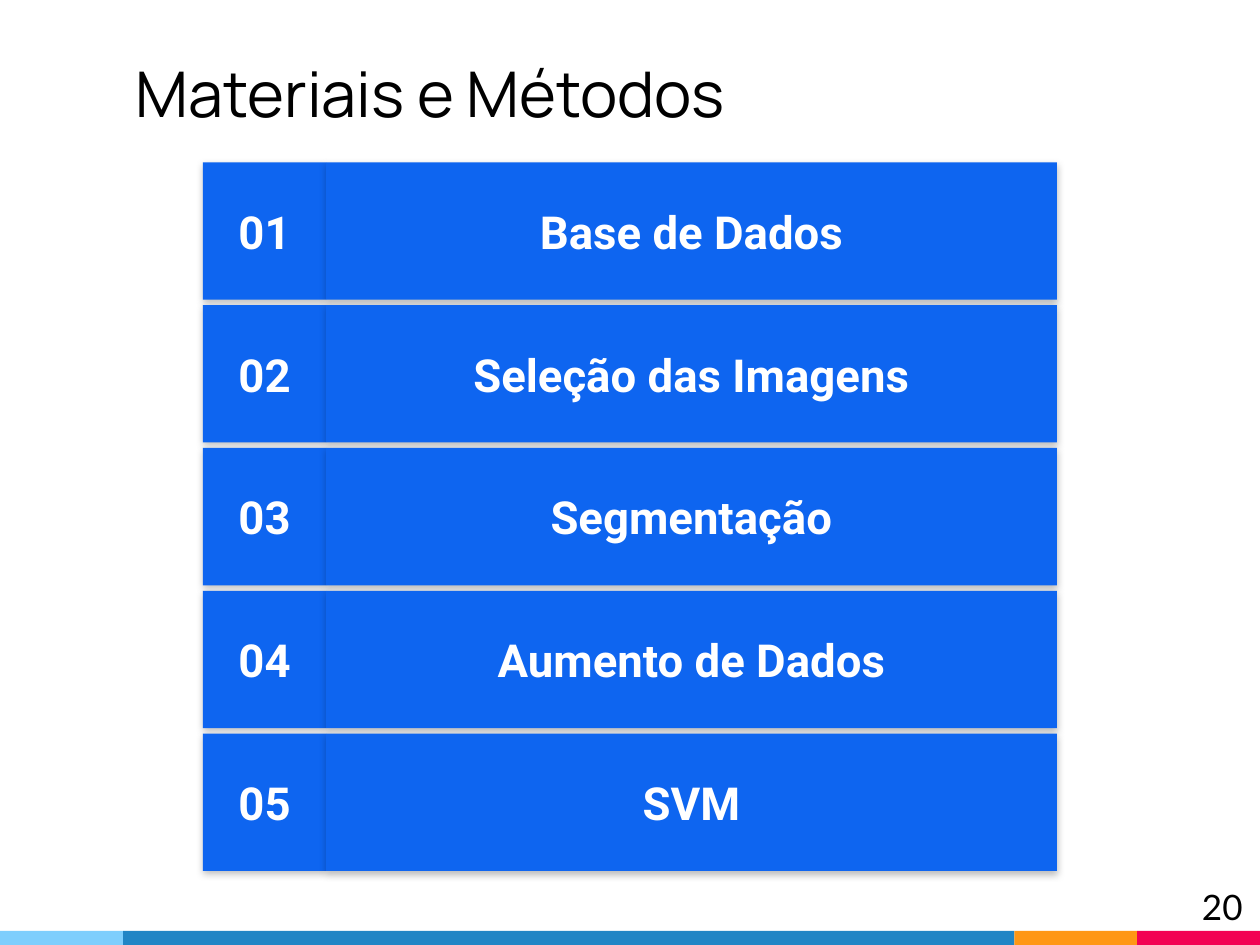
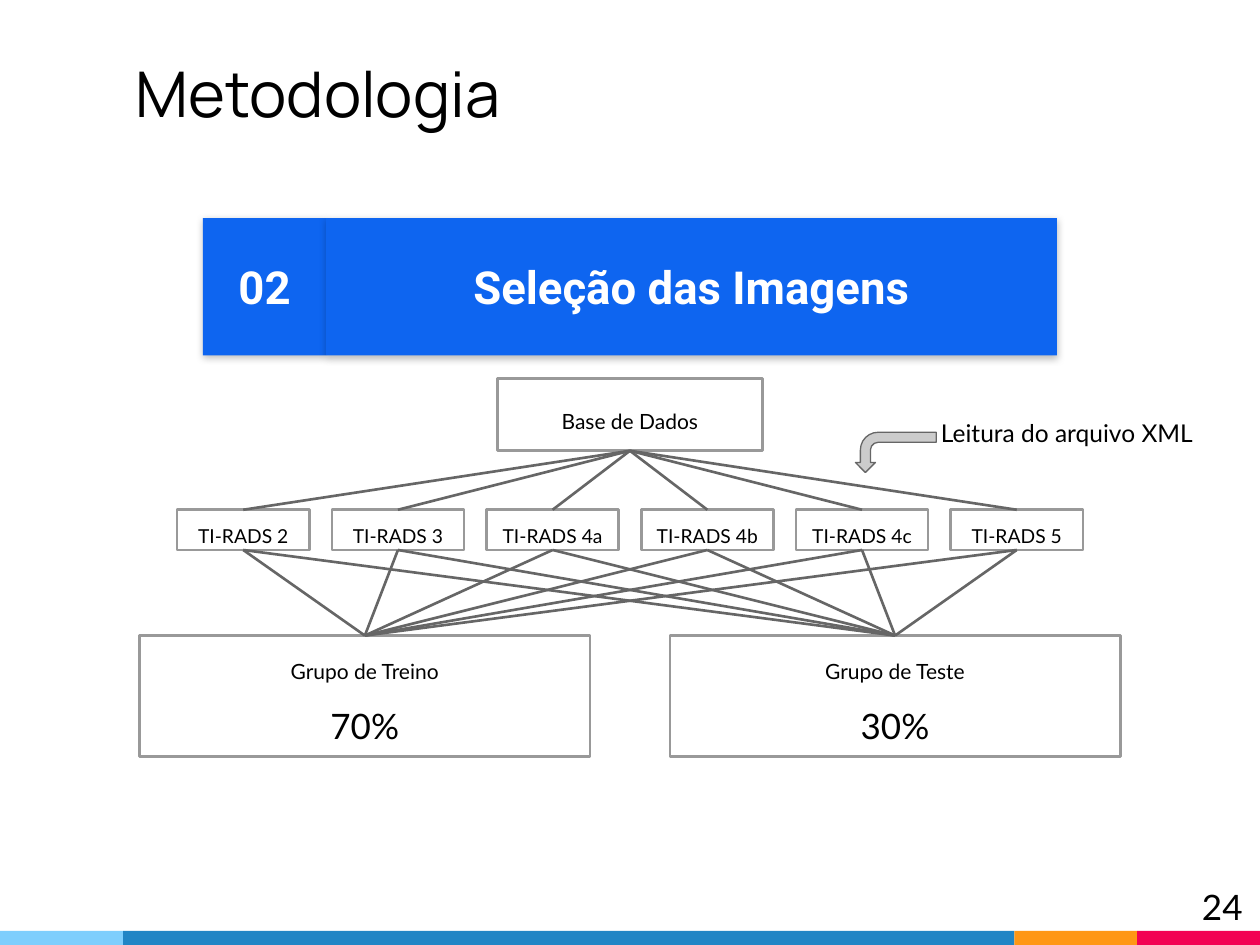
from lxml import etree
from pptx import Presentation
from pptx.dml.color import RGBColor
from pptx.enum.shapes import MSO_CONNECTOR, MSO_SHAPE
from pptx.enum.text import MSO_ANCHOR, MSO_AUTO_SIZE, PP_ALIGN
from pptx.oxml.ns import qn
from pptx.util import Pt

RECT, BENT_ARROW = MSO_SHAPE.RECTANGLE, MSO_SHAPE.BENT_ARROW
STRAIGHT = MSO_CONNECTOR.STRAIGHT
TOP, MIDDLE, BOTTOM = MSO_ANCHOR.TOP, MSO_ANCHOR.MIDDLE, MSO_ANCHOR.BOTTOM
LEFT, CENTER, RIGHT = PP_ALIGN.LEFT, PP_ALIGN.CENTER, PP_ALIGN.RIGHT
NO_FIT = MSO_AUTO_SIZE.NONE
TOP_SIDE, BOTTOM_SIDE = 0, 2
TITLE_ONLY = 5

WIDTH, HEIGHT = 720, 540
BLACK, WHITE, BLUE = "000000", "FFFFFF", "0E65F0"
BOX_LINE, LINK_LINE, ARROW_FILL = "999999", "666666", "CCCCCC"
TITLE_FONT, CARD_FONT, TEXT_FONT = "Manrope", "Roboto", "Lato"
INSET = 7.2
BAND_TOP = 532
BANDS = [(70.4, "7ECEFD"), (509.2, "2185C5"), (70.2, "FF9715"), (70.2, "F20253")]
CARD_LEFT, NUMBER_W, CARD_W, CARD_H = 116, 70.4, 417.6, 78.5


def rgb(color):
    return RGBColor.from_string(color)


class Deck:
    def __init__(self):
        self.prs = Presentation()
        self.prs.slide_width, self.prs.slide_height = Pt(WIDTH), Pt(HEIGHT)
        self.s = None

    def slide(self, title, number):
        self.s = self.prs.slides.add_slide(self.prs.slide_layouts[TITLE_ONLY])
        x = 0
        for w, color in BANDS:
            self.shape(x, BAND_TOP, w, HEIGHT - BAND_TOP, fill=color)
            x += w
        sp = self.s.shapes.title
        sp.left, sp.top, sp.width, sp.height = Pt(70.4), Pt(-8.6), Pt(509), Pt(90)
        self.set_text(sp, [(title, 36)], TITLE_FONT, align=LEFT, anchor=BOTTOM)
        self.text(674, 499, 43.2, 41, number, 20, RIGHT)

    def set_text(self, sp, lines, font, color=BLACK, bold=False, align=CENTER,
                 anchor=MIDDLE, spacing=1.0):
        tf = sp.text_frame
        tf.word_wrap, tf.auto_size, tf.vertical_anchor = True, NO_FIT, anchor
        tf.margin_left = tf.margin_right = tf.margin_top = tf.margin_bottom = Pt(INSET)
        for i, (line, size) in enumerate(lines):
            p = tf.add_paragraph() if i else tf.paragraphs[0]
            p.text, p.alignment, p.line_spacing = line, align, spacing
            p.font.name, p.font.size, p.font.bold = font, Pt(size), bold
            p.font.color.rgb = rgb(color)

    def text(self, x, y, w, h, line, size, align=LEFT):
        sp = self.s.shapes.add_textbox(Pt(x), Pt(y), Pt(w), Pt(h))
        self.set_text(sp, [(line, size)], TEXT_FONT, align=align, anchor=TOP)

    def shape(self, x, y, w, h, kind=RECT, fill=None, line=None, weight=1.5, parent=None):
        shapes = (parent or self.s).shapes
        sp = shapes.add_shape(kind, Pt(x), Pt(y), Pt(w), Pt(h))
        sp.shadow.inherit = False
        if fill:
            sp.fill.solid()
            sp.fill.fore_color.rgb = rgb(fill)
        else:
            sp.fill.background()
        if line:
            sp.line.color.rgb, sp.line.width = rgb(line), Pt(weight)
        else:
            sp.line.fill.background()
        return sp

    def drop_shadow(self, sp):
        effects = sp._element.spPr.find(qn("a:effectLst"))
        shadow = etree.SubElement(effects, qn("a:outerShdw"), blurRad=str(Pt(4.5)),
                                  dist=str(Pt(1.5)), dir="5400000", algn="bl",
                                  rotWithShape="0")
        color = etree.SubElement(shadow, qn("a:srgbClr"), val=BLACK)
        etree.SubElement(color, qn("a:alpha"), val="25000")

    def card(self, y, number, label):
        group = self.s.shapes.add_group_shape()
        for x, w, line in ((CARD_LEFT, NUMBER_W, number),
                           (CARD_LEFT + NUMBER_W, CARD_W, label)):
            sp = self.shape(x, y, w, CARD_H, fill=BLUE, parent=group)
            self.drop_shadow(sp)
            self.set_text(sp, [(line, 26)], CARD_FONT, WHITE, bold=True)

    def box(self, x, y, w, h, *lines):
        sp = self.shape(x, y, w, h, line=BOX_LINE)
        self.set_text(sp, lines, TEXT_FONT, spacing=1.5)
        return sp

    def link(self, upper, lower):
        c = self.s.shapes.add_connector(STRAIGHT, 0, 0, 0, 0)
        c.begin_connect(upper, BOTTOM_SIDE)
        c.end_connect(lower, TOP_SIDE)
        c.line.color.rgb, c.line.width = rgb(LINK_LINE), Pt(1.5)
        etree.SubElement(c._element.spPr, qn("a:effectLst"))

    def bent_arrow(self, x, y, w, h):
        sp = self.shape(x, y, w, h, BENT_ARROW, ARROW_FILL, LINK_LINE, 0.75)
        for i, value in enumerate((0.25, 0.25, 0.25, 0.44)):
            sp.adjustments[i] = value
        sp.rotation = 270
        sp._element.spPr.find(qn("a:xfrm")).set("flipH", "1")


def steps_slide(deck):
    deck.slide("Materiais e Métodos", "20")
    steps = ["Base de Dados", "Seleção das Imagens", "Segmentação",
             "Aumento de Dados", "SVM"]
    for i, step in enumerate(steps):
        deck.card(92.8 + 81.6 * i, f"{i + 1:02}", step)


def selection_slide(deck):
    deck.slide("Metodologia", "24")
    deck.card(124.6, "02", "Seleção das Imagens")
    base = deck.box(284.4, 216.2, 151.2, 41.4, ("Base de Dados", 12))
    groups = [deck.box(x, 363.2, 257.4, 69.2, (name, 12), (share, 20))
              for x, name, share in ((79.8, "Grupo de Treino", "70%"),
                                     (382.8, "Grupo de Teste", "30%"))]
    for i, level in enumerate(["2", "3", "4a", "4b", "4c", "5"]):
        category = deck.box(101.2 + 88.4 * i, 291.3, 75.6, 23, (f"TI-RADS {level}", 11))
        deck.link(base, category)
        for group in groups:
            deck.link(category, group)
    deck.text(530.6, 231.8, 171.4, 31.7, "Leitura do arquivo XML", 14)
    deck.bent_arrow(500.4, 235.4, 23, 46.2)


def main():
    deck = Deck()
    steps_slide(deck)
    selection_slide(deck)
    deck.prs.save("out.pptx")


if __name__ == "__main__":
    main()
